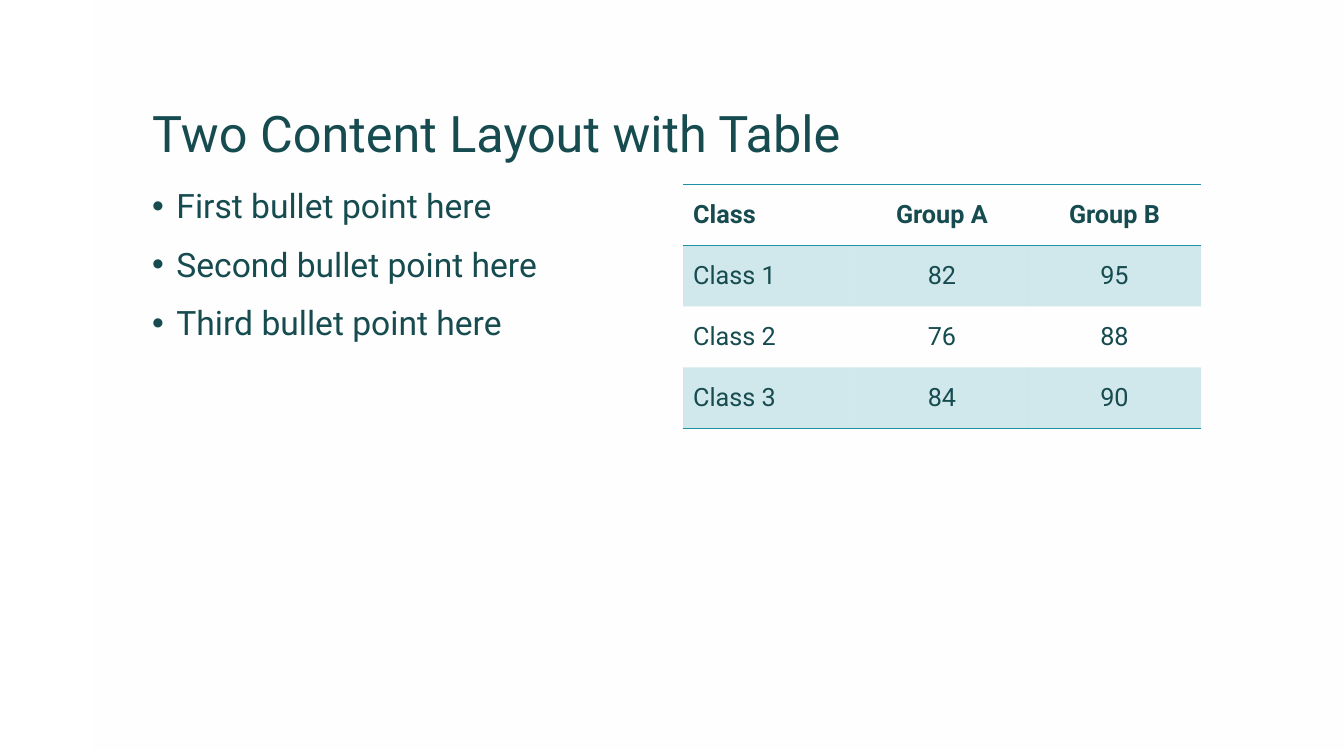
from lxml import etree
from pptx import Presentation
from pptx.dml.color import RGBColor
from pptx.enum.shapes import MSO_SHAPE
from pptx.enum.text import MSO_ANCHOR, MSO_AUTO_SIZE, PP_ALIGN
from pptx.oxml.ns import qn
from pptx.util import Inches, Pt

LEFT, CENTER = PP_ALIGN.LEFT, PP_ALIGN.CENTER
TOP, MIDDLE, BOTTOM = MSO_ANCHOR.TOP, MSO_ANCHOR.MIDDLE, MSO_ANCHOR.BOTTOM
RECTANGLE, NO_AUTOFIT = MSO_SHAPE.RECTANGLE, MSO_AUTO_SIZE.NONE

THEME = {
    "font": "Roboto", "ink": "164B4F", "accent": "1B91A1", "paper": "FFFFFF",
    "title": 36, "body": 24, "table": 18, "rule": 1, "band_alpha": 20, "panel_alpha": 60,
}

# Grid: two equal columns between the margins
SLIDE_W, SLIDE_H = 13.33, 7.5
MARGIN, CONTENT_W, GUTTER = 1.41, 10.5, 0.23
COLUMN_W = (CONTENT_W - GUTTER) / 2
RIGHT_COLUMN = MARGIN + COLUMN_W + GUTTER
TITLE_TOP, TITLE_H = 0.42, 1.25
CONTENT_TOP, BODY_H, ROW_H = 1.83, 4.92, 0.605
PANEL_LEFT = 0.91

BULLETS = ["First bullet point here", "Second bullet point here", "Third bullet point here"]
SCORES = [
    ["Class", "Group A", "Group B"],
    ["Class 1", "82", "95"],
    ["Class 2", "76", "88"],
    ["Class 3", "84", "90"],
]


def write(paragraph, text, size, bold=False, align=LEFT, line_spacing=1.0, before=0):
    run = paragraph.add_run()
    run.text = text
    run.font.name = THEME["font"]
    run.font.size = Pt(size)
    run.font.bold = bold
    run.font.color.rgb = RGBColor.from_string(THEME["ink"])
    paragraph.alignment = align
    paragraph.line_spacing = line_spacing
    paragraph.space_before = Pt(before)


def set_alpha(color, percent):
    """Make an a:srgbClr element partly transparent."""
    etree.SubElement(color, qn("a:alpha"), val=str(percent * 1000))


prs = Presentation()
prs.slide_width, prs.slide_height = Inches(SLIDE_W), Inches(SLIDE_H)
slide = prs.slides.add_slide(prs.slide_layouts[3])
title, bullet_list, spare = slide.placeholders
spare.element.getparent().remove(spare.element)

slide.background.fill.solid()
slide.background.fill.fore_color.rgb = RGBColor.from_string(THEME["paper"])

# Fading panel behind the content
panel = slide.shapes.add_shape(
    RECTANGLE, Inches(PANEL_LEFT), 0, Inches(SLIDE_W - PANEL_LEFT), Inches(SLIDE_H))
panel.shadow.inherit = False
panel.line.fill.background()
panel.fill.gradient()
panel.fill.gradient_angle = 270
for stop, alpha in zip(panel.fill.gradient_stops, (THEME["panel_alpha"], 0)):
    stop.color.rgb = RGBColor.from_string(THEME["paper"])
for color, alpha in zip(panel.element.spPr.iter(qn("a:srgbClr")), (THEME["panel_alpha"], 0)):
    set_alpha(color, alpha)
title.element.addprevious(panel.element)

# Title and bullets
for holder, top, width, height, anchor in (
    (title, TITLE_TOP, CONTENT_W, TITLE_H, BOTTOM),
    (bullet_list, CONTENT_TOP, COLUMN_W, BODY_H, TOP),
):
    holder.left, holder.top = Inches(MARGIN), Inches(top)
    holder.width, holder.height = Inches(width), Inches(height)
    holder.text_frame.auto_size = NO_AUTOFIT
    holder.text_frame.word_wrap = True
    holder.text_frame.vertical_anchor = anchor

write(title.text_frame.paragraphs[0], "Two Content Layout with Table",
      THEME["title"], line_spacing=0.9)

for index, bullet in enumerate(BULLETS):
    frame = bullet_list.text_frame
    paragraph = frame.add_paragraph() if index else frame.paragraphs[0]
    write(paragraph, bullet, THEME["body"], line_spacing=0.9, before=16)
    properties = paragraph._p.get_or_add_pPr()
    properties.set("marL", str(Inches(0.24)))
    properties.set("indent", str(Inches(-0.24)))
    etree.SubElement(properties, qn("a:buFont"), typeface="Arial")
    etree.SubElement(properties, qn("a:buChar"), char="•")

# Score table
last_row = len(SCORES) - 1
table = slide.shapes.add_table(
    len(SCORES), len(SCORES[0]), Inches(RIGHT_COLUMN), Inches(CONTENT_TOP),
    Inches(COLUMN_W), Inches(ROW_H * len(SCORES))).table
table.first_row = table.horz_banding = False
NO_STYLE_NO_GRID = "{2D5ABB26-0587-4C30-8999-92F81FD0307C}"
table._tbl.tblPr.find(qn("a:tableStyleId")).text = NO_STYLE_NO_GRID

for row, values in enumerate(SCORES):
    edges = {0: ("a:lnT", "a:lnB"), last_row: ("a:lnB",)}.get(row, ())
    for column, value in enumerate(values):
        cell = table.cell(row, column)
        cell.vertical_anchor = MIDDLE
        write(cell.text_frame.paragraphs[0], value, THEME["table"],
              bold=row == 0, align=CENTER if column else LEFT)
        properties = cell._tc.get_or_add_tcPr()
        if row % 2:
            cell.fill.solid()
            cell.fill.fore_color.rgb = RGBColor.from_string(THEME["accent"])
            set_alpha(properties.find(".//" + qn("a:srgbClr")), THEME["band_alpha"])
        else:
            cell.fill.background()
        for position, edge in enumerate(edges):
            border = etree.Element(qn(edge), w=str(Pt(THEME["rule"])))
            paint = etree.SubElement(border, qn("a:solidFill"))
            etree.SubElement(paint, qn("a:srgbClr"), val=THEME["accent"])
            properties.insert(position, border)

prs.save("out.pptx")
